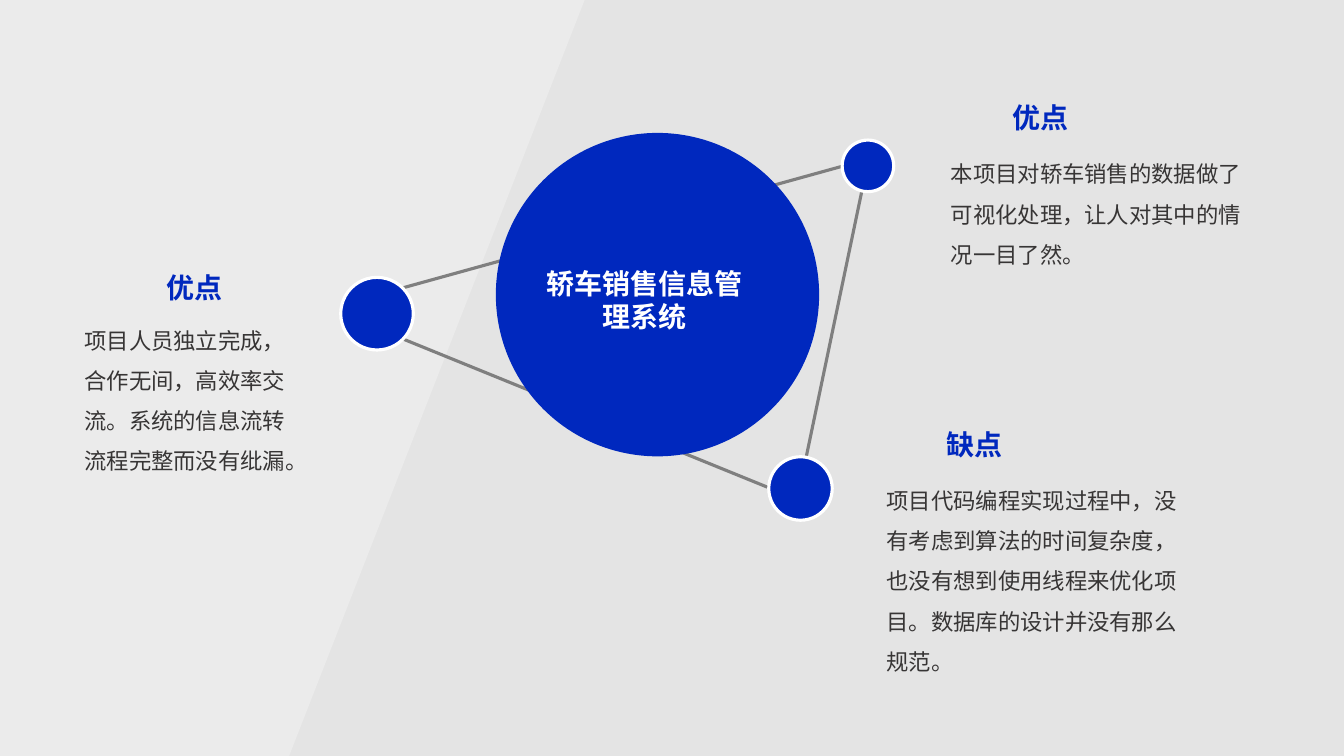
from dataclasses import dataclass

import pptx
import pptx.dml.color
import pptx.enum.shapes
import pptx.enum.text
import pptx.oxml.ns
import pptx.util
from lxml import etree

Cm = pptx.util.Cm
Pt = pptx.util.Pt
qn = pptx.oxml.ns.qn
ALIGN = pptx.enum.text.PP_ALIGN


@dataclass(frozen=True)
class Theme:
    background: str = "E4E4E4"
    panel: str = "F1F1F1"
    accent: str = "0028BE"
    line: str = "7F7F7F"
    white: str = "FFFFFF"
    body: str = "373535"
    font: str = "Noto Sans CJK SC"
    latin_font: str = "Calibri"
    heading_size: int = 20
    body_size: int = 16
    line_width: float = 2.25


def rgb(color):
    return pptx.dml.color.RGBColor.from_string(color)


class SlideBuilder:
    def __init__(self, prs, theme):
        self.theme = theme
        self.s = prs.slides.add_slide(prs.slide_layouts[5])
        fill = self.s.background.fill
        fill.solid()
        fill.fore_color.rgb = rgb(theme.background)

    def panel(self, points, opacity):
        """Draw a translucent polygon; opacity is in percent."""
        corners = [(Cm(x), Cm(y)) for x, y in points]
        builder = self.s.shapes.build_freeform(*corners[0])
        builder.add_line_segments(corners[1:], close=True)
        sp = builder.convert_to_shape()
        self._fill(sp, self.theme.panel)
        sp.line.fill.background()
        color = sp.fill._xPr.find(qn("a:solidFill"))[0]
        etree.SubElement(color, qn("a:alpha"), val=str(opacity * 1000))

    def link(self, x1, y1, x2, y2):
        kind = pptx.enum.shapes.MSO_CONNECTOR.STRAIGHT
        line = self.s.shapes.add_connector(kind, Cm(x1), Cm(y1), Cm(x2), Cm(y2))
        line.line.color.rgb = rgb(self.theme.line)
        line.line.width = Pt(self.theme.line_width)
        etree.SubElement(line._element.spPr, qn("a:effectLst"))

    def circle(self, left, top, size, outlined=True):
        kind = pptx.enum.shapes.MSO_SHAPE.OVAL
        sp = self.s.shapes.add_shape(kind, Cm(left), Cm(top), Cm(size), Cm(size))
        self._fill(sp, self.theme.accent)
        if outlined:
            sp.line.color.rgb = rgb(self.theme.white)
            sp.line.width = Pt(self.theme.line_width)
        else:
            sp.line.fill.background()

    def title(self, text, left, top, width, height):
        """Place the title placeholder in front of everything drawn so far."""
        sp = self.s.shapes.title
        sp.left, sp.top, sp.width, sp.height = map(Cm, (left, top, width, height))
        self.s.shapes._spTree.append(sp._element)
        self._heading_text(sp, text, self.theme.white)

    def heading(self, text, left, top, width=5, height=1.12):
        sp = self.s.shapes.add_textbox(Cm(left), Cm(top), Cm(width), Cm(height))
        self._heading_text(sp, text, self.theme.accent)

    def body(self, text, left, top, width, height, font=None):
        t = self.theme
        sp = self.s.shapes.add_textbox(Cm(left), Cm(top), Cm(width), Cm(height))
        p = self._text(sp, text, t.body_size, t.body, font or t.font)
        p.line_spacing = 1.5

    def _fill(self, sp, color):
        sp.shadow.inherit = False
        sp.fill.solid()
        sp.fill.fore_color.rgb = rgb(color)

    def _heading_text(self, sp, text, color):
        p = self._text(sp, text, self.theme.heading_size, color, self.theme.font)
        p.alignment = ALIGN.CENTER
        p.runs[0].font.bold = True

    def _text(self, sp, text, size, color, font):
        tf = sp.text_frame
        tf.text = text
        tf.word_wrap = True
        tf.auto_size = pptx.enum.text.MSO_AUTO_SIZE.NONE
        tf.vertical_anchor = pptx.enum.text.MSO_ANCHOR.TOP
        p = tf.paragraphs[0]
        r = p.runs[0]
        r.font.size = Pt(size)
        r.font.color.rgb = rgb(color)
        r.font.name = font
        etree.SubElement(r._r.rPr, qn("a:ea"), typeface=self.theme.font)
        return p


def main():
    prs = pptx.Presentation()
    prs.slide_width, prs.slide_height = Cm(33.88), Cm(19.05)
    theme = Theme()
    s = SlideBuilder(prs, theme)

    s.panel([(14.74, 0), (7.29, 19.05), (0, 19.05), (0, 0)], opacity=54)

    s.link(10.13, 8.53, 19.38, 12.29)
    s.link(21.74, 4.75, 20.32, 11.53)
    s.link(10.13, 7.26, 21.23, 4.19)

    s.circle(12.5, 3.35, 8.15, outlined=False)
    for left, top, size in [(8.59, 6.99, 1.83), (21.23, 3.53, 1.3), (19.38, 11.51, 1.6)]:
        s.circle(left, top, size)

    s.title("轿车销售信息管理系统", 13.28, 6.58, 5.92, 1.96)

    s.heading("优点", 2.41, 6.68)
    s.body("项目人员独立完成，合作无间，高效率交流。系统的信息流转流程完整而没有纰漏。",
           1.88, 7.77, 5.82, 5.33)
    s.heading("优点", 23.72, 2.41)
    s.body("本项目对轿车销售的数据做了可视化处理，让人对其中的情况一目了然。",
           23.72, 3.58, 8.36, 3.3)
    s.heading("缺点", 22.07, 10.64)
    s.body("项目代码编程实现过程中，没有考虑到算法的时间复杂度，也没有想到使用线程来优化项目。"
           "数据库的设计并没有那么规范。",
           22.1, 11.81, 8.36, 5.33, theme.latin_font)

    prs.save("out.pptx")


if __name__ == "__main__":
    main()
